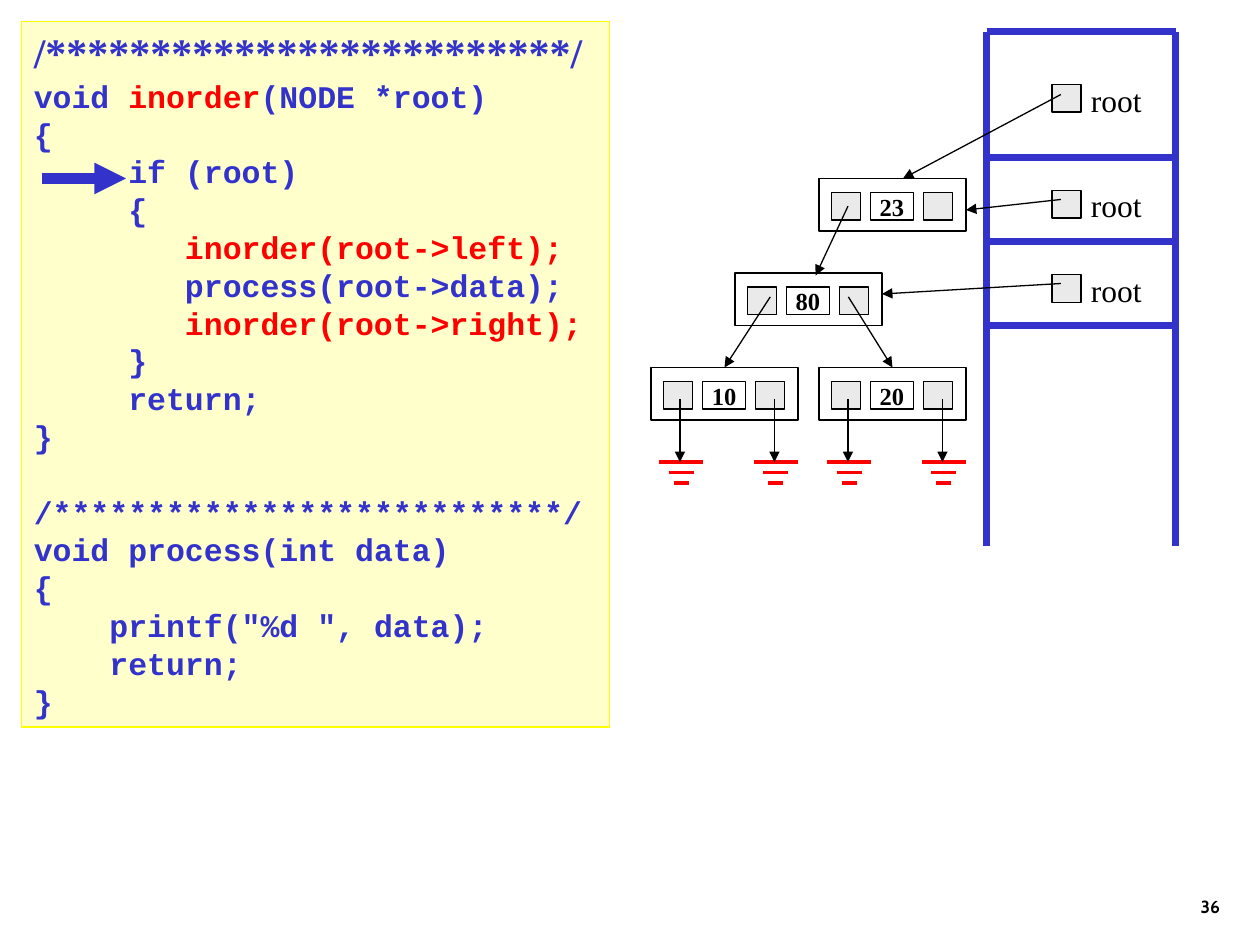
from lxml import etree
from pptx import Presentation
from pptx.dml.color import RGBColor
from pptx.enum.shapes import MSO_CONNECTOR, MSO_SHAPE
from pptx.enum.text import MSO_ANCHOR, PP_ALIGN
from pptx.oxml.ns import qn
from pptx.util import Inches, Pt

RECT, LINE = MSO_SHAPE.RECTANGLE, MSO_CONNECTOR.STRAIGHT
LEFT, MID, RIGHT = PP_ALIGN.LEFT, PP_ALIGN.CENTER, PP_ALIGN.RIGHT
TOP, CENTER, BOTTOM = MSO_ANCHOR.TOP, MSO_ANCHOR.MIDDLE, MSO_ANCHOR.BOTTOM
BLUE = RGBColor(0x33, 0x33, 0xCC)
RED = RGBColor(0xFF, 0x00, 0x00)
BLACK = RGBColor(0x00, 0x00, 0x00)
WHITE = RGBColor(0xFF, 0xFF, 0xFF)
GRAY = RGBColor(0xEA, 0xEA, 0xEA)
CREAM = RGBColor(0xFF, 0xFF, 0xCC)
YELLOW = RGBColor(0xFF, 0xFF, 0x00)

SERIF = {"name": "Times New Roman", "size": Pt(18), "color": BLACK}
BOLD = SERIF | {"size": Pt(14), "bold": True}
STARS = BOLD | {"size": Pt(24), "color": BLUE}
MONO = STARS | {"name": "Courier New", "size": Pt(18)}
CALL = MONO | {"color": RED}
NUMBER = {"name": "Cabin", "size": Pt(10), "color": BLACK, "bold": True}

HEAD = "/*************************/"
WALK = [
    [("void ", MONO), ("inorder", CALL), ("(NODE *root)", MONO)],
    [("{", MONO)],
    [("     if (root)", MONO)],
    [("     {", MONO)],
    [("        ", MONO), ("inorder(root->left);", CALL)],
    [("        process(root->data);", MONO)],
    [("        ", MONO), ("inorder(root->right);", CALL)],
    [("     }", MONO)],
    [("     return;", MONO)],
    [("}", MONO)],
]
PRINT = [
    "/***************************/",
    "void process(int data)",
    "{",
    '    printf("%d ", data);',
    "    return;",
    "}",
]
UNIT = 1 / 12
NODES = {"23": (78, 17), "80": (70, 26), "10": (62, 35), "20": (78, 35)}
LEAVES = ["10", "20"]
ROOTS = [(0.67, 9, (86, 17)), (1.51, 19, (92, 20)), (2.18, 27, (84, 28))]
STACK = {"left": 94, "right": 112, "base": 52, "rows": [3, 15, 23, 31]}
BARS = [0.35, 0.2, 0.12]

deck = Presentation()
deck.slide_width, deck.slide_height = Inches(10), Inches(7.5)
slide = deck.slides.add_slide(deck.slide_layouts[6])
shapes = slide.shapes


def write(para, runs):
    for text, style in runs:
        run = para.add_run()
        run.text = text
        for key, value in style.items():
            if key == "color":
                run.font.color.rgb = value
            else:
                setattr(run.font, key, value)


def setup(shape, runs, align=LEFT, **frame):
    body = shape.text_frame
    for key, value in frame.items():
        setattr(body, key, value)
    para = body.paragraphs[0]
    para.alignment = align
    write(para, runs)
    return body


def box(x, y, wide, high, fill, edge=BLACK):
    shape = shapes.add_shape(RECT, *map(Inches, (x, y, wide, high)))
    shape.shadow.inherit = False
    shape.fill.solid()
    shape.fill.fore_color.rgb = fill
    shape.line.color.rgb = edge
    shape.line.width = Pt(0.75)
    return shape


def line(start, end, color=BLACK, width=0.75, arrow=False):
    link = shapes.add_connector(LINE, *map(Inches, (*start, *end)))
    link.line.color.rgb = color
    link.line.width = Pt(width)
    props = link.element.spPr
    if arrow:
        tip = etree.SubElement(props.find(qn("a:ln")), qn("a:tailEnd"))
        tip.set("type", "triangle")
    etree.SubElement(props, qn("a:effectLst"))
    return link


def label(x, y, wide, high, text, style, **frame):
    shape = shapes.add_textbox(*map(Inches, (x, y, wide, high)))
    setup(shape, [(text, style)], **frame)


def node(text, col, row):
    x, y = col * UNIT, row * UNIT
    frame = box(x, y, 14 * UNIT, 5 * UNIT, WHITE)
    for shift in (0.1, 0.83):
        box(x + shift, y + 0.11, 0.23, 0.22, GRAY)
    value = box(x + 0.41, y + 0.11, 0.34, 0.22, WHITE)
    setup(value, [(text, BOLD)], MID, vertical_anchor=CENTER, word_wrap=False)
    return frame


def spot(name, x, y):
    col, row = NODES[name]
    return col * UNIT + x, row * UNIT + y


def ground(x, y):
    for step, wide in enumerate(BARS):
        level = y + (6 + step) * UNIT
        line((x + 0.01 - wide / 2, level), (x + 0.01 + wide / 2, level), RED, 2)
    line((x, y), (x, y + 6 * UNIT), arrow=True)


label(7.7, 6.83, 2.08, 0.5, "36", NUMBER,
      align=RIGHT, vertical_anchor=BOTTOM, word_wrap=True)

panel = box(0.17, 0.17, 4.67, 5.6, CREAM, YELLOW)
code = setup(panel, [(HEAD, STARS)], vertical_anchor=TOP,
             margin_top=Inches(0.04), word_wrap=True)
for runs in WALK + [[(text, MONO)] for text in PRINT]:
    para = code.add_paragraph()
    para.alignment = LEFT
    if runs[0][0] == PRINT[0]:
        para.space_before = Pt(21.6)
    write(para, runs)

left, right = STACK["left"] * UNIT, STACK["right"] * UNIT
rows = [row * UNIT for row in STACK["rows"]]
for y in rows:
    line((left, y), (right, y), BLUE, 4)
for x in (left, right):
    line((x, rows[0]), (x, STACK["base"] * UNIT), BLUE, 4)
line((0.33, 17 * UNIT), (1, 17 * UNIT), BLUE, 6, True)

frames = {name: node(name, *place) for name, place in NODES.items()}
line(spot("23", 0.23, 0.22), spot("80", 0.64, 0.02), arrow=True)
for leaf, shift in zip(LEAVES, (0.28, 0.9)):
    link = line(spot("80", shift, 0.19), spot(leaf, 7 * UNIT, 0), arrow=True)
    link.end_connect(frames[leaf], 0)
    for side in (0.23, 0.98):
        ground(*spot(leaf, side, 0.25))

for top, row, (col, end) in ROOTS:
    label(8.56, top - 0.08, 0.6, 0.4, "root", SERIF, word_wrap=False)
    box(8.35, top, 0.23, 0.22, GRAY)
    line((8.42, row * UNIT), (col * UNIT, end * UNIT), arrow=True)

deck.save("out.pptx")
